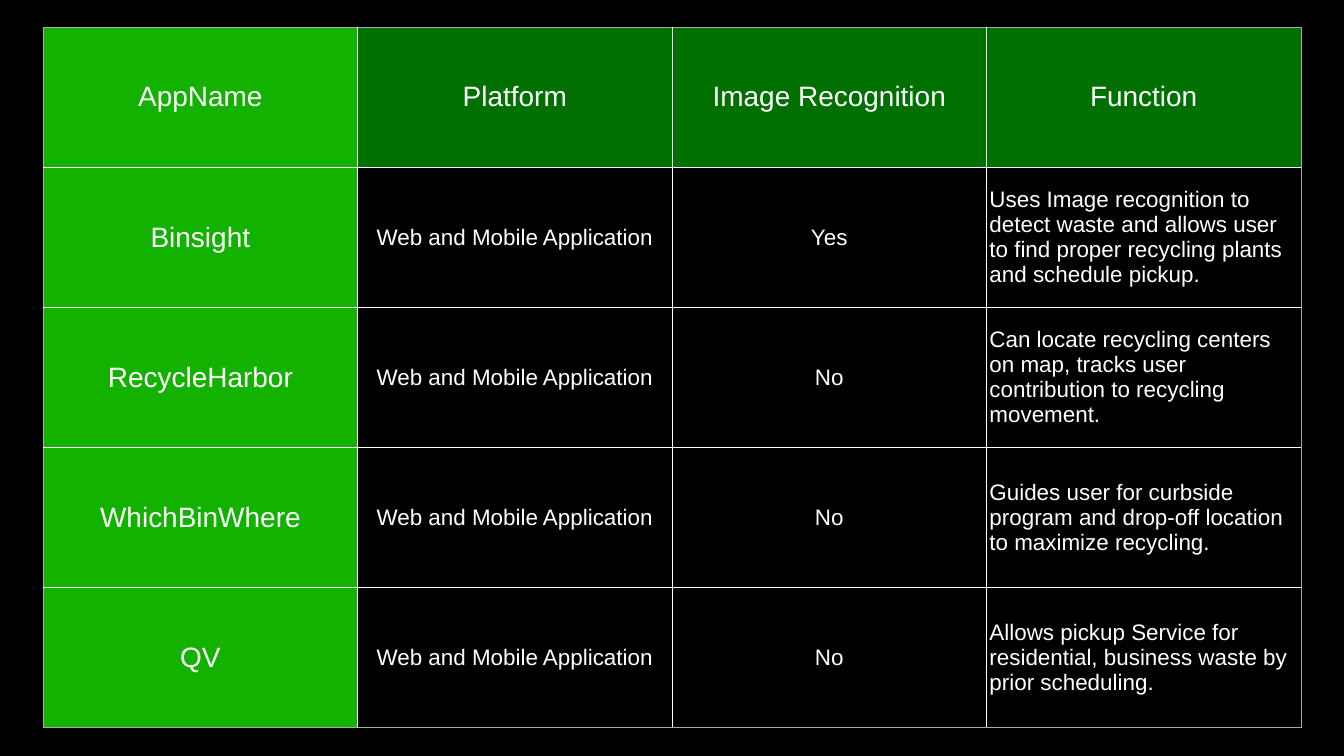
from lxml import etree
from pptx import Presentation
from pptx.dml.color import RGBColor
from pptx.enum.text import MSO_ANCHOR, PP_ALIGN
from pptx.oxml.ns import qn
from pptx.util import Inches, Pt

LEFT, CENTER = PP_ALIGN.LEFT, PP_ALIGN.CENTER
MIDDLE = MSO_ANCHOR.MIDDLE

WIDE, HIGH = 26.67, 15
COL, ROW = 6.24, 2.78
LINE = Pt(1)
COLORS = {
    "back": "000000",
    "text": "FFFFFF",
    "head": "007100",
    "name": "13B100",
    "inner": "FFFFFF",
    "outer": "A9A9A9",
}

APPS = [
    ["AppName", "Platform", "Image Recognition", "Function"],
    ["Binsight", "Web and Mobile Application", "Yes",
     "Uses Image recognition to detect waste and allows user to find "
     "proper recycling plants and schedule pickup."],
    ["RecycleHarbor", "Web and Mobile Application", "No",
     "Can locate recycling centers on map, tracks user contribution "
     "to recycling movement."],
    ["WhichBinWhere", "Web and Mobile Application", "No",
     "Guides user for curbside program and drop-off location "
     "to maximize recycling."],
    ["QV", "Web and Mobile Application", "No",
     "Allows pickup Service for residential, business waste "
     "by prior scheduling."],
]


def paint(fill, color):
    fill.solid()
    fill.fore_color.rgb = RGBColor.from_string(COLORS[color])


def write(cell, text, size=32, align=CENTER, color="text"):
    cell.vertical_anchor = MIDDLE
    cell.margin_left = cell.margin_right = Inches(0.06)
    cell.margin_top = cell.margin_bottom = Inches(0.06)
    para = cell.text_frame.paragraphs[0]
    para.alignment = align
    run = para.add_run()
    run.text = text
    font = run.font
    font.name, font.size, font.bold = "Arial", Pt(size), False
    font.color.rgb = RGBColor.from_string(COLORS[color])


def frame(cell, edges):
    """Draw the four borders; edges maps each side to True on the table's rim."""
    props = cell._tc.get_or_add_tcPr()
    for spot, (side, rim) in enumerate(edges.items()):
        line = etree.Element(qn("a:ln" + side), w=str(LINE))
        fill = etree.SubElement(line, qn("a:solidFill"))
        color = COLORS["outer" if rim else "inner"]
        etree.SubElement(fill, qn("a:srgbClr"), val=color)
        props.insert(spot, line)


def add_grid(slide, data):
    rows, cols = len(data), len(data[0])
    wide, high = cols * COL, rows * ROW
    left, top = (WIDE - wide) / 2, 0.54
    table = slide.shapes.add_table(
        rows, cols, Inches(left), Inches(top), Inches(wide), Inches(high)).table
    table.first_row = table.horz_banding = False

    for r, row in enumerate(data):
        for c, text in enumerate(row):
            cell = table.cell(r, c)
            title = r == 0 or c == 0
            prose = r > 0 and c == cols - 1
            write(cell, text, size=40 if title else 32,
                  align=LEFT if prose else CENTER)
            # The name column runs through the header row
            if title:
                paint(cell.fill, "name" if c == 0 else "head")
            else:
                cell.fill.background()
            frame(cell, {"L": c == 0, "R": c == cols - 1,
                         "T": r == 0, "B": r == rows - 1})


def main():
    deck = Presentation()
    deck.slide_width, deck.slide_height = Inches(WIDE), Inches(HIGH)
    slide = deck.slides.add_slide(deck.slide_layouts[6])
    paint(slide.background.fill, "back")

    # Comparison of the apps
    add_grid(slide, APPS)
    deck.save("out.pptx")


if __name__ == "__main__":
    main()
